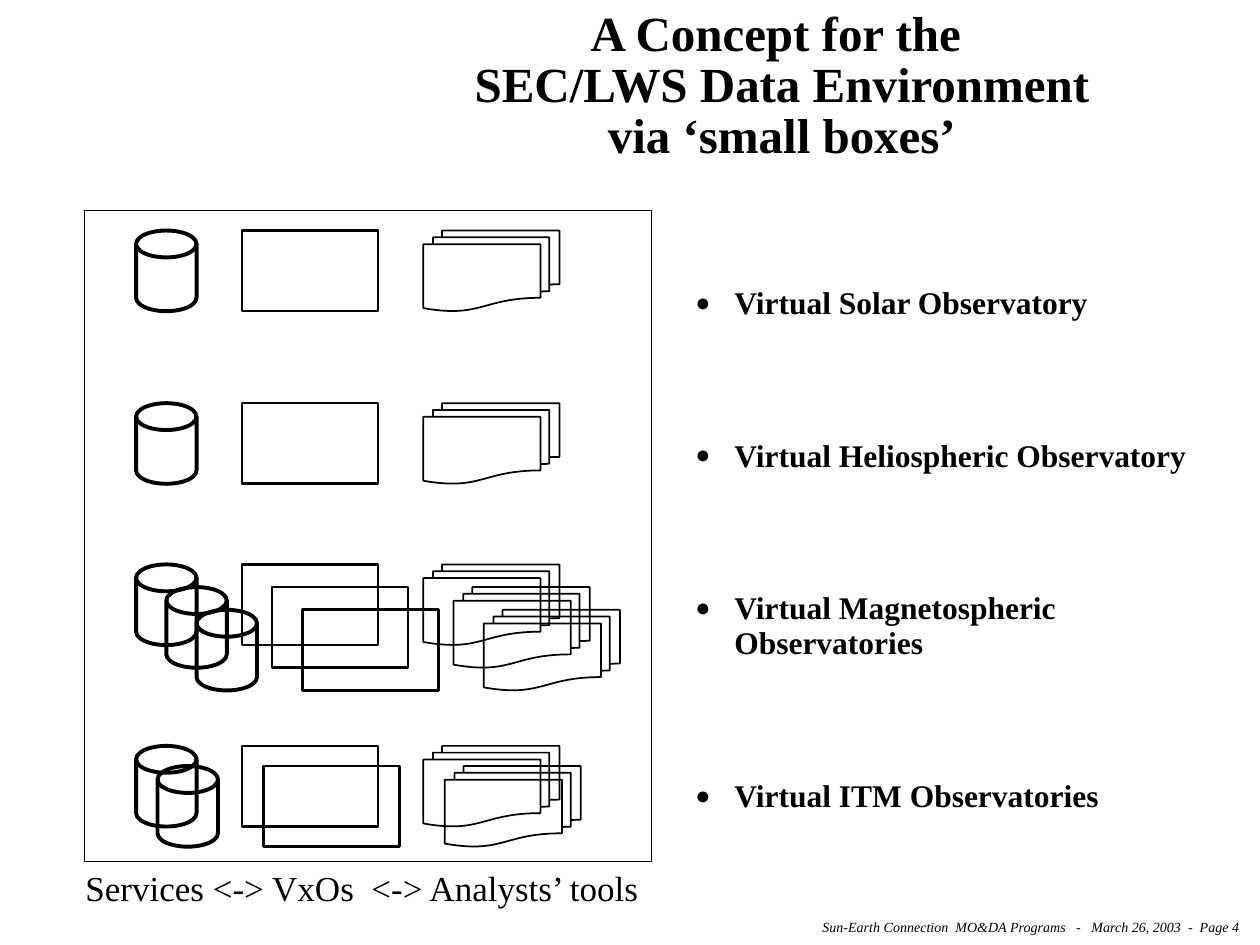
from lxml import etree
from pptx import Presentation
from pptx.dml.color import RGBColor
from pptx.enum.shapes import MSO_SHAPE
from pptx.enum.text import MSO_ANCHOR, PP_ALIGN
from pptx.oxml.ns import qn
from pptx.util import Inches, Pt

RECT = MSO_SHAPE.RECTANGLE
DISK = MSO_SHAPE.FLOWCHART_MAGNETIC_DISK
DOCS = MSO_SHAPE.FLOWCHART_MULTIDOCUMENT
TOP, MIDDLE = MSO_ANCHOR.TOP, MSO_ANCHOR.MIDDLE
LEFT, CENTER, RIGHT = PP_ALIGN.LEFT, PP_ALIGN.CENTER, PP_ALIGN.RIGHT

BLACK = RGBColor(0x00, 0x00, 0x00)
FONT = "Times New Roman"
ICON_H = 0.64
# kind, offset from the panel's left edge, width, line width
ICONS = [(RECT, 1.25, 1.08, 1.5), (DISK, 0.41, 0.48, 2.25), (DOCS, 2.69, 1.08, 1)]
# observatory, offset from the panel's top, number of icon sets, step right, step down
ROWS = [
    ("Virtual Solar Observatory", 0.16, 1, 0, 0),
    ("Virtual Heliospheric Observatory", 1.53, 1, 0, 0),
    ("Virtual Magnetospheric Observatories", 2.81, 3, 0.24, 0.18),
    ("Virtual ITM Observatories", 4.25, 2, 0.17, 0.16),
]


def add_bullet(p):
    pPr = p._p.get_or_add_pPr()
    pPr.set("marL", str(Inches(0.31)))
    pPr.set("indent", str(-Inches(0.31)))
    color = etree.SubElement(pPr, qn("a:buClr"))
    etree.SubElement(color, qn("a:srgbClr"), val=str(BLACK))
    etree.SubElement(pPr, qn("a:buSzPct"), val="80000")
    etree.SubElement(pPr, qn("a:buFont"), typeface=FONT)
    etree.SubElement(pPr, qn("a:buChar"), char="●")


def add_text(s, box, paragraphs, size, bold=False, italic=False, align=LEFT,
             anchor=TOP, line=None, gap=0, bullets=False, wrap=True):
    tf = s.shapes.add_textbox(*map(Inches, box)).text_frame
    tf.word_wrap = wrap
    tf.vertical_anchor = anchor
    for i, text in enumerate(paragraphs):
        p = tf.add_paragraph() if i else tf.paragraphs[0]
        p.text = text
        if bullets:
            add_bullet(p)
        p.alignment = align
        if line:
            p.line_spacing = line
        if i:
            p.space_before = Pt(gap)
        for r in p.runs:
            r.font.name, r.font.size = FONT, Pt(size)
            r.font.bold, r.font.italic = bold, italic
            r.font.color.rgb = BLACK


def add_outline(shapes, kind, box, width):
    sp = shapes.add_shape(kind, *map(Inches, box))
    sp.shadow.inherit = False
    sp.fill.background()
    sp.line.color.rgb = BLACK
    sp.line.width = Pt(width)


def draw_panel(s, box):
    left, top = box[:2]
    add_outline(s.shapes, RECT, box, 0.5)
    for _, y, count, step_x, step_y in ROWS:
        for i in range(count):
            group = s.shapes.add_group_shape()
            for kind, x, w, width in ICONS:
                icon = (left + x + i * step_x, top + y + i * step_y, w, ICON_H)
                add_outline(group.shapes, kind, icon, width)


def main():
    prs = Presentation()
    prs.slide_width, prs.slide_height = Inches(10), Inches(7.5)
    s = prs.slides.add_slide(prs.slide_layouts[6])
    add_text(s, (5.83, 7.24, 4.11, 0.23),
             ["Sun-Earth Connection  MO&DA Programs   -   March 26, 2003  -  Page 4"],
             8, italic=True, align=RIGHT)
    add_text(s, (2.58, 0, 7.25, 1.38),
             ["A Concept for the \vSEC/LWS Data Environment\vvia ‘small boxes’"],
             28, bold=True, align=CENTER, anchor=MIDDLE, line=0.87)
    add_text(s, (5.42, 1.58, 4.42, 5.58), [row[0] for row in ROWS],
             18, bold=True, anchor=MIDDLE, line=0.93, gap=67, bullets=True)
    add_text(s, (0.58, 6.83, 4.63, 0.44),
             ["Services <-> VxOs  <-> Analysts’ tools"], 20, wrap=False)
    draw_panel(s, (0.67, 1.67, 4.5, 5.17))
    prs.save("out.pptx")


if __name__ == "__main__":
    main()
